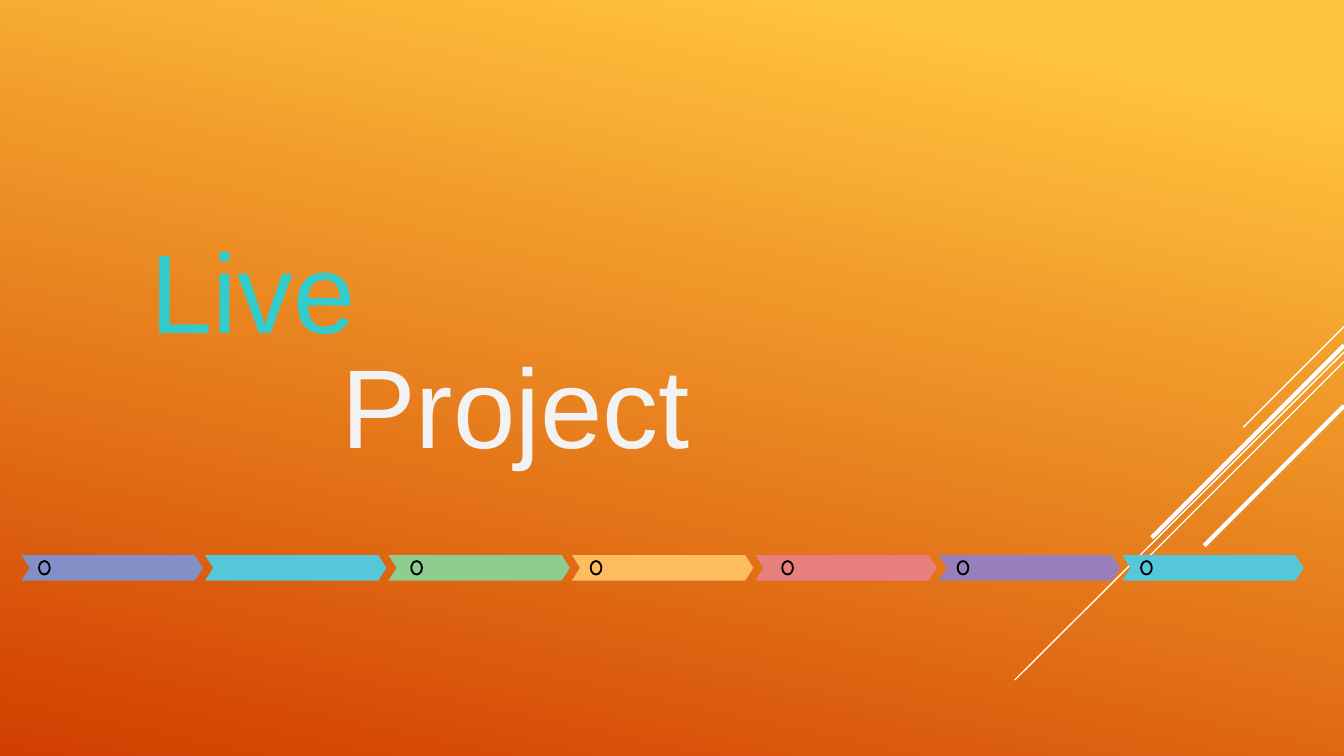
from copy import deepcopy

from lxml import etree
from pptx import Presentation
from pptx.dml.color import RGBColor
from pptx.enum.shapes import MSO_CONNECTOR, MSO_SHAPE
from pptx.enum.text import MSO_ANCHOR, MSO_AUTO_SIZE, PP_ALIGN
from pptx.oxml.ns import qn
from pptx.util import Inches, Pt

STRAIGHT = MSO_CONNECTOR.STRAIGHT
CHEVRON, OVAL = MSO_SHAPE.CHEVRON, MSO_SHAPE.OVAL
TOP, LEFT, NO_FIT = MSO_ANCHOR.TOP, PP_ALIGN.LEFT, MSO_AUTO_SIZE.NONE

# Chevron colour and the distance of its ring from the chevron's left edge
STEPS = [
    ("858FC7", 0.13),
    ("56C7D9", None),
    ("8ECC8F", 0.17),
    ("FDBD60", 0.14),
    ("E7807D", 0.2),
    ("997FBA", 0.14),
    ("56C7D9", 0.14),
]

# Diagonal rays inside their box: start height, end x, end y, line width
RAYS = [
    (0, 1.7, 0.75, 0.75),
    (0.19, 0, 2.63, 0.75),
    (0.26, 0.89, 1.82, 0.75),
    (0.14, 1.02, 1.57, 2.25),
    (0.59, 1.41, 1.63, 2.25),
]


def colour(value):
    return RGBColor.from_string(value)


def paint_background(page):
    fill = page.background.fill
    fill.gradient()
    fill.gradient_angle = 258
    stops = page.element.find(".//" + qn("a:gsLst"))
    stops.insert(1, deepcopy(stops[0]))
    values = [(0, "FFC43D"), (0.1, "FFC43D"), (1, "D13E00")]
    for stop, (position, value) in zip(fill.gradient_stops, values):
        stop.position = position
        stop.color.rgb = colour(value)


def add_rays(page, left, top, width):
    for start_y, end_x, end_y, weight in RAYS:
        ray = page.shapes.add_connector(
            STRAIGHT, Inches(left + width), Inches(top + start_y),
            Inches(left + end_x), Inches(top + end_y))
        ray.line.color.rgb = colour("FFFFFF")
        ray.line.width = Pt(weight)
        etree.SubElement(ray.element.spPr, qn("a:effectLst"))


def set_heading(holder, text, value, left, top, width, height):
    holder.left, holder.top = Inches(left), Inches(top)
    holder.width, holder.height = Inches(width), Inches(height)
    frame = holder.text_frame
    frame.word_wrap = True
    frame.auto_size = NO_FIT
    frame.vertical_anchor = TOP
    para = frame.paragraphs[0]
    para.alignment = LEFT
    para.space_before = Pt(0)
    para.line_spacing = 1.0
    span = para.add_run()
    span.text = text
    span.font.name = "Arial"
    span.font.size = Pt(60)
    span.font.color.rgb = colour(value)


def add_step_bar(page, left, top, width, height):
    step_width, ring_width, ring_height = 1.35, 0.08, 0.1
    pitch = (width - step_width) / (len(STEPS) - 1)
    # Chevrons
    for index, (value, _) in enumerate(STEPS):
        step = page.shapes.add_shape(
            CHEVRON, Inches(left + index * pitch), Inches(top),
            Inches(step_width), Inches(height))
        step.adjustments[0] = 0.32
        step.shadow.inherit = False
        step.fill.solid()
        step.fill.fore_color.rgb = colour(value)
        step.line.fill.background()
    # Rings
    for index, (_, offset) in enumerate(STEPS):
        if offset is None:
            continue
        ring = page.shapes.add_shape(
            OVAL, Inches(left + index * pitch + offset),
            Inches(top + (height - ring_height) / 2),
            Inches(ring_width), Inches(ring_height))
        ring.shadow.inherit = False
        ring.fill.background()
        ring.line.color.rgb = colour("000000")
        ring.line.width = Pt(1)


def main():
    deck = Presentation()
    deck.slide_width = Inches(10)
    deck.slide_height = deck.slide_width * 9 // 16
    page = deck.slides.add_slide(deck.slide_layouts[0])
    paint_background(page)
    add_rays(page, 7.55, 2.43, 2.45)
    set_heading(page.shapes.title, "Live", "33CCCC", 1.02, 1.6, 4.82, 1.5)
    set_heading(page.placeholders[1], "Project", "F2F2F2", 2.44, 2.45, 4.55, 1.11)
    add_step_bar(page, 0.16, 4.13, 9.54, 0.19)
    deck.save("out.pptx")


if __name__ == "__main__":
    main()
